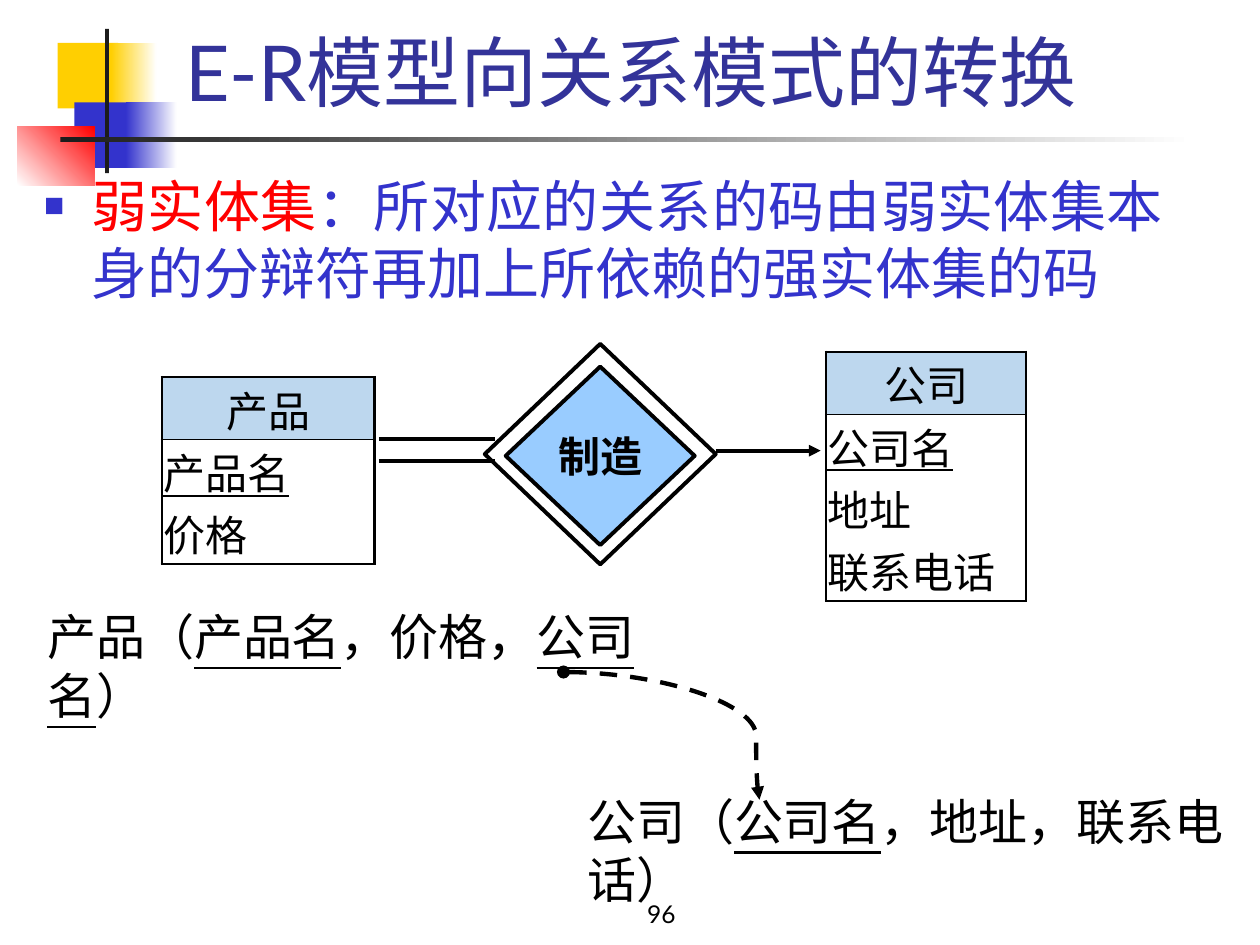
from lxml.etree import SubElement as Sub
from pptx import Presentation
from pptx.dml.color import RGBColor as Rgb
from pptx.enum.dml import MSO_LINE as Dash
from pptx.enum.shapes import MSO_CONNECTOR as Conn, MSO_SHAPE as Geo
from pptx.enum.text import MSO_ANCHOR as Anchor, MSO_AUTO_SIZE as Auto, PP_ALIGN as Align
from pptx.oxml.ns import qn
from pptx.util import Pt

HUES = {
    "black": "000000", "white": "FFFFFF", "ink": "1C1C1C", "gold": "FFCF01",
    "blue": "3333CC", "navy": "333399", "red": "FF0000", "sky": "99CCFF",
    "head": "BDD7EE",
}
HAN = "Noto Sans CJK SC"


def hue(name):
    return Rgb.from_string(HUES[name])


def pts(*vals):
    return [Pt(v) for v in vals]


def style(run, size, font="Lato", east="Lato", color="black", bold=False, under=False):
    run.font.size = Pt(size)
    run.font.name = font
    run.font.color.rgb = hue(color)
    run.font.bold = bold
    run.font.underline = under
    Sub(run.font._element, qn("a:ea"), typeface=east)


def block(shapes, geo, box, fill=None, fade=None, angle=0, line=None):
    part = shapes.add_shape(geo, *pts(*box))
    part.shadow.inherit = False
    if fade:
        part.fill.gradient()
        part.fill.gradient_angle = angle
        for stop, name in zip(part.fill.gradient_stops, fade):
            stop.color.rgb = hue(name)
    elif fill:
        part.fill.solid()
        part.fill.fore_color.rgb = hue(fill)
    else:
        part.fill.background()
    if line:
        part.line.color.rgb = hue("black")
        part.line.width = Pt(line)
    else:
        part.line.fill.background()
    return part


def link(shapes, kind, ends, width, head=None, tail=None):
    wire = shapes.add_connector(kind, *pts(*ends))
    wire.line.color.rgb = hue("black")
    wire.line.width = Pt(width)
    line = wire.line._get_or_add_ln()
    for tag, mark in (("a:headEnd", head), ("a:tailEnd", tail)):
        if mark:
            Sub(line, qn(tag), type=mark)
    Sub(wire._element.spPr, qn("a:effectLst"))
    return wire


def motif(shapes, x, y):
    parts = [
        ((23, 8, 34.5, 37.5), "gold", None, 0),
        ((53.5, 8, 26, 37.5), None, ("gold", "white"), 0),
        ((32.5, 42, 33, 37.5), "blue", None, 0),
        ((62, 42, 29, 37.5), None, ("blue", "white"), 0),
        ((0, 56, 44, 33.5), None, ("white", "red"), 45),
        ((50, 0, 2.3, 82.5), "ink", None, 0),
        ((24.5, 62, 648, 2.5), None, ("ink", "white"), 0),
    ]
    for (dx, dy, w, h), fill, fade, angle in parts:
        block(shapes, Geo.RECTANGLE, (x + dx, y + dy, w, h), fill, fade, angle)


def place(holder, box):
    holder.left, holder.top, holder.width, holder.height = pts(*box)
    holder.text_frame.auto_size = Auto.NONE
    return holder.text_frame


def title(holder, box):
    frame = place(holder, box)
    frame.vertical_anchor = Anchor.BOTTOM
    frame.text = "E-R模型向关系模式的转换"
    para = frame.paragraphs[0]
    para.alignment = Align.CENTER
    style(para.runs[0], 44, color="navy")


def body(holder, box):
    para = place(holder, box).paragraphs[0]
    para.alignment = Align.JUSTIFY
    for text, color in (
        ("弱实体集", "red"),
        ("：所对应的关系的码由弱实体集本身的分辩符再加上所依赖的强实体集的码", "blue"),
    ):
        run = para.add_run()
        run.text = text
        style(run, 32, color=color)
    props = para._p.get_or_add_pPr()
    props.set("marL", str(Pt(27)))
    props.set("indent", str(Pt(-27)))
    Sub(Sub(props, qn("a:buClr")), qn("a:srgbClr"), val=HUES["blue"])
    Sub(props, qn("a:buSzPct"), val="60000")
    Sub(props, qn("a:buFont"), typeface="Arial")
    Sub(props, qn("a:buChar"), char="■")


def edge(cell, sides):
    props = cell._tc.get_or_add_tcPr()
    for spot, (side, width) in enumerate(sides.items()):
        line = props.makeelement(qn("a:ln" + side), {"w": str(Pt(width))})
        if width:
            Sub(Sub(line, qn("a:solidFill")), qn("a:srgbClr"), val=HUES["black"])
        else:
            Sub(line, qn("a:noFill"))
        props.insert(spot, line)


def entity(shapes, x, y, w, rows):
    step = 29.4
    table = shapes.add_table(len(rows), 1, *pts(x, y, w, step * len(rows))).table
    table.first_row = table.horz_banding = False
    table.columns[0].width = Pt(w)
    last = len(rows) - 1
    for i, (text, font) in enumerate(rows):
        table.rows[i].height = Pt(step)
        cell = table.cell(i, 0)
        cell.margin_left = cell.margin_right = cell.margin_top = Pt(0.75)
        cell.margin_bottom = 0
        cell.vertical_anchor = Anchor.MIDDLE
        if i == 0:
            cell.fill.solid()
            cell.fill.fore_color.rgb = hue("head")
        else:
            cell.fill.background()
        cell.text_frame.text = text
        para = cell.text_frame.paragraphs[0]
        para.alignment = Align.LEFT if i else Align.CENTER
        style(para.runs[0], 24, font, HAN, under=i == 1)
        top = {0: 1.5, 1: 0.5}.get(i, 0)
        low = {0: 0.5, last: 1.5}.get(i, 0)
        edge(cell, {"L": 1.5, "R": 1.5, "T": top, "B": low})


def bond(shapes, x, y, w, h):
    link(shapes, Conn.STRAIGHT, (x - 60.5, y + 54.5, x + 6, y + 54.5), 2.25)
    link(shapes, Conn.STRAIGHT, (x + w, y + 61, x + w + 60, y + 61), 2.25, tail="triangle")
    core = block(shapes, Geo.DIAMOND, (x + 12, y + 13, w - 24, h - 24), "sky", line=2.25)
    frame = core.text_frame
    frame.word_wrap = False
    frame.vertical_anchor = Anchor.MIDDLE
    frame.text = "制造"
    frame.paragraphs[0].alignment = Align.CENTER
    style(frame.paragraphs[0].runs[0], 24, HAN, HAN, bold=True)
    block(shapes, Geo.DIAMOND, (x, y, w, h), line=2.25)
    link(shapes, Conn.STRAIGHT, (x - 60.5, y + 67, x + 6, y + 67), 2.25)


def key(shapes, ends):
    wire = link(shapes, Conn.CURVE, ends, 2.5, "oval", "triangle")
    wire.line.dash_style = Dash.DASH
    geom = wire._element.spPr.find(qn("a:prstGeom"))
    Sub(geom.find(qn("a:avLst")), qn("a:gd"), name="adj1", fmla="val 98300")


def schema(shapes, box, parts):
    frame = shapes.add_textbox(*pts(*box)).text_frame
    frame.word_wrap = True
    for i, text in enumerate(parts):
        run = frame.paragraphs[0].add_run()
        run.text = text
        style(run, 28, "Arial", under=i % 2 == 1)


def number(shapes, box):
    frame = shapes.add_textbox(*pts(*box)).text_frame
    frame.word_wrap = True
    frame.vertical_anchor = Anchor.BOTTOM
    frame.text = "96"
    frame.paragraphs[0].alignment = Align.CENTER
    style(frame.paragraphs[0].runs[0], 14)


def main():
    deck = Presentation()
    deck.slide_width, deck.slide_height = pts(720, 540)
    shapes = deck.slides.add_slide(deck.slide_layouts[1]).shapes
    motif(shapes, 10, 16.5)
    number(shapes, (264, 498, 228, 36))
    title(shapes.title, (54, 11.5, 613.5, 59))
    body(shapes.placeholders[1], (18, 94.5, 654, 85))
    for holder in list(shapes.placeholders):
        shapes._spTree.append(holder._element)
    bond(shapes, 277, 196.5, 132, 126)
    key(shapes, (322, 384, 434, 457))
    entity(shapes, 92.5, 215.5, 121.5, [("产品", HAN), ("产品名", HAN), ("价格", HAN)])
    entity(shapes, 472, 201, 114.5,
           [("公司", HAN), ("公司名", HAN), ("地址", "Vollkorn"), ("联系电话", HAN)])
    schema(shapes, (20, 343, 363, 41), ["产品（", "产品名", "，价格，", "公司名", "）"])
    schema(shapes, (328.5, 448.5, 391.5, 41), ["公司（", "公司名", "，地址，联系电话）"])
    deck.save("out.pptx")


if __name__ == "__main__":
    main()
